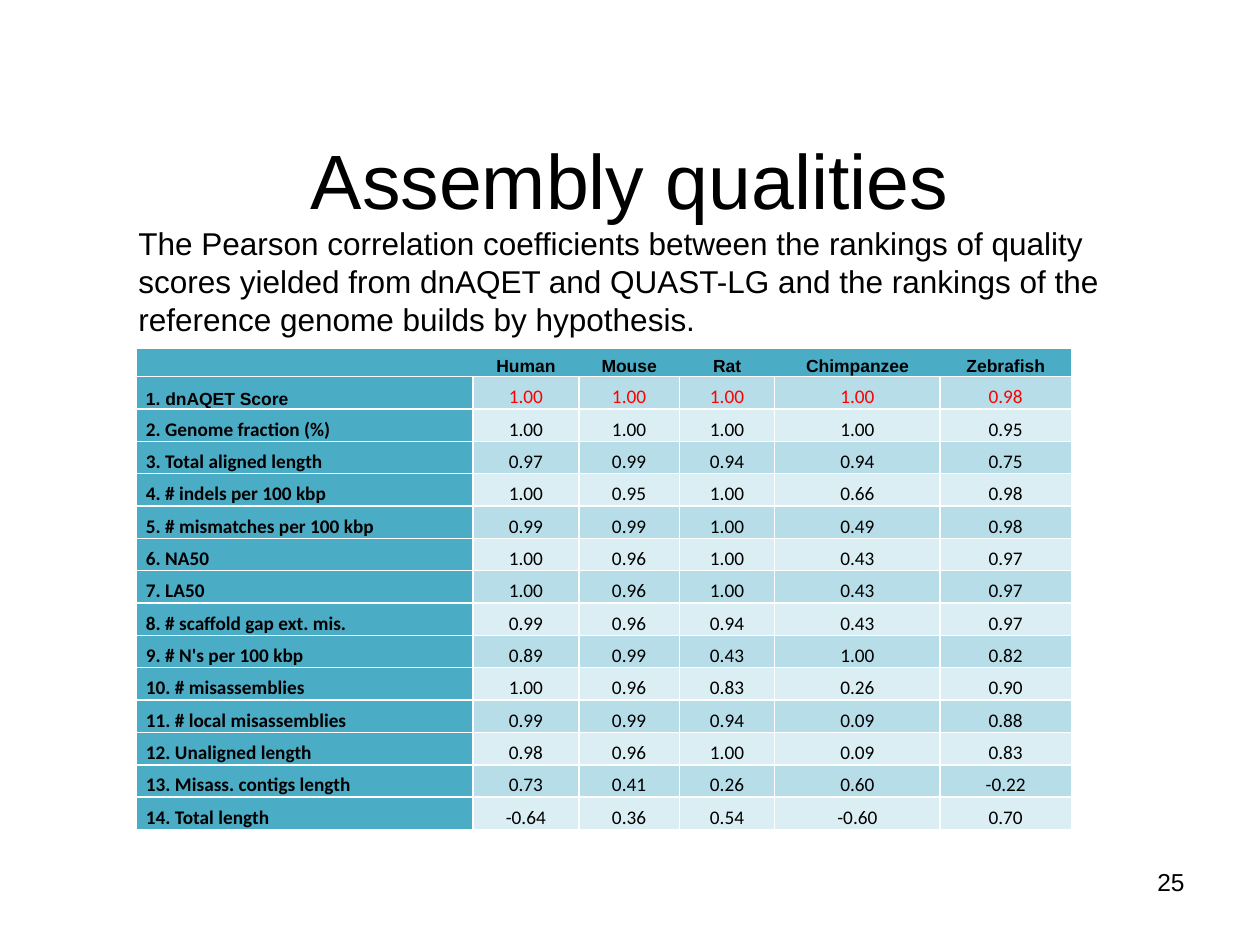
from dataclasses import dataclass

import pptx
import pptx.dml.color
import pptx.enum.text
import pptx.oxml
import pptx.oxml.ns
import pptx.util

Pt = pptx.util.Pt
Align = pptx.enum.text.PP_ALIGN
Anchor = pptx.enum.text.MSO_ANCHOR

COLORS = {"ink": "000000", "mark": "FF0000", "head": "4BACC6",
          "odd": "B6DDE8", "even": "DAEEF3", "rule": "FFFFFF"}


@dataclass
class Style:
    name: str
    size: float
    bold: bool = False
    color: str = "ink"
    align: Align = Align.LEFT


@dataclass
class Label:
    text: str
    box: tuple
    style: Style
    anchor: Anchor = Anchor.TOP


LABELS = [
    Label("Assembly qualities", (48, 66, 624, 72),
          Style("Arial", 44, align=Align.CENTER), Anchor.MIDDLE),
    Label("25", (516, 492, 168, 37.5), Style("Arial", 14, align=Align.RIGHT)),
    Label("The Pearson correlation coefficients between the rankings of quality "
          "scores yielded from dnAQET and QUAST-LG and the rankings of the "
          "reference genome builds by hypothesis.",
          (72, 124.5, 600, 72.7), Style("Arial", 18)),
]

HEADS = ["", "Human", "Mouse", "Rat", "Chimpanzee", "Zebrafish"]
SCORES = [
    ("dnAQET Score", "1.00 1.00 1.00 1.00 0.98"),
    ("Genome fraction (%)", "1.00 1.00 1.00 1.00 0.95"),
    ("Total aligned length", "0.97 0.99 0.94 0.94 0.75"),
    ("# indels per 100 kbp", "1.00 0.95 1.00 0.66 0.98"),
    ("# mismatches per 100 kbp", "0.99 0.99 1.00 0.49 0.98"),
    ("NA50", "1.00 0.96 1.00 0.43 0.97"),
    ("LA50", "1.00 0.96 1.00 0.43 0.97"),
    ("# scaffold gap ext. mis.", "0.99 0.96 0.94 0.43 0.97"),
    ("# N's per 100 kbp", "0.89 0.99 0.43 1.00 0.82"),
    ("# misassemblies", "1.00 0.96 0.83 0.26 0.90"),
    ("# local misassemblies", "0.99 0.99 0.94 0.09 0.88"),
    ("Unaligned length", "0.98 0.96 1.00 0.09 0.83"),
    ("Misass. contigs length", "0.73 0.41 0.26 0.60 -0.22"),
    ("Total length", "-0.64 0.36 0.54 -0.60 0.70"),
]
LEFT, TOP = 78, 198.75
WIDTHS = [192.25, 60.5, 57.5, 54.5, 94.5, 75]
HEAD_H, ROW_H = 16.5, 18.5


def tint(key: str) -> pptx.dml.color.RGBColor:
    return pptx.dml.color.RGBColor.from_string(COLORS[key])


def write(para, text: str, style: Style) -> None:
    para.alignment = style.align
    if text:
        font = para.add_run().font
        para.runs[0].text = text
    else:
        # An empty cell still needs a small font to keep its row low
        end = pptx.oxml.parse_xml(
            f'<a:endParaRPr {pptx.oxml.ns.nsdecls("a")}/>')
        para._p.append(end)
        font = pptx.text.text.Font(end)
    form = {"name": style.name, "size": Pt(style.size), "bold": style.bold}
    for key, value in form.items():
        setattr(font, key, value)
    font.color.rgb = tint(style.color)


def add_label(slide, label: Label) -> None:
    frame = slide.shapes.add_textbox(*map(Pt, label.box)).text_frame
    frame.word_wrap = True
    frame.vertical_anchor = label.anchor
    write(frame.paragraphs[0], label.text, label.style)


def add_rules(cell, row: int, col: int) -> None:
    """White lines on all sides, but none between the header cells."""
    last = len(HEADS) - 1
    shown = {"L": row > 0 or col == 0, "R": row > 0 or col == last,
             "T": True, "B": True}
    props = cell._tc.get_or_add_tcPr()
    for side, show in shown.items():
        paint = (f'<a:solidFill><a:srgbClr val="{COLORS["rule"]}"/></a:solidFill>'
                 if show else "<a:noFill/>")
        props.append(pptx.oxml.parse_xml(
            f'<a:ln{side} {pptx.oxml.ns.nsdecls("a")} w="{Pt(1)}">{paint}</a:ln{side}>'))


def pick(row: int, col: int) -> tuple[Style, str]:
    """Text style and fill key of a cell."""
    align = Align.LEFT if row and col == 0 else Align.CENTER
    if row == 0 or (row == 1 and col == 0):
        return Style("Arial", 10, True, align=align), "head"
    if col == 0:
        return Style("Calibri", 11, True, align=align), "head"
    ink = "mark" if row == 1 else "ink"
    return Style("Calibri", 11, color=ink, align=align), "odd" if row % 2 else "even"


def fill_cell(cell, text: str, row: int, col: int) -> None:
    form = {"margin_left": Pt(5.4), "margin_right": Pt(5.4), "margin_top": 0,
            "margin_bottom": 0, "vertical_anchor": Anchor.BOTTOM}
    for key, value in form.items():
        setattr(cell, key, value)
    style, fill = pick(row, col)
    para = cell.text_frame.paragraphs[0]
    para.line_spacing = 1.15
    write(para, text, style)
    add_rules(cell, row, col)
    cell.fill.solid()
    cell.fill.fore_color.rgb = tint(fill)


def add_scores(slide) -> None:
    rows = [HEADS] + [[f"{num}. {name}", *vals.split()]
                      for num, (name, vals) in enumerate(SCORES, 1)]
    high = HEAD_H + ROW_H * len(SCORES)
    table = slide.shapes.add_table(
        len(rows), len(HEADS), Pt(LEFT), Pt(TOP), Pt(sum(WIDTHS)), Pt(high)).table
    table.first_row = table.horz_banding = False
    for col, wide in enumerate(WIDTHS):
        table.columns[col].width = Pt(wide)
    for row, texts in enumerate(rows):
        table.rows[row].height = Pt(ROW_H if row else HEAD_H)
        for col, text in enumerate(texts):
            fill_cell(table.cell(row, col), text, row, col)


def main() -> None:
    deck = pptx.Presentation()
    deck.slide_width, deck.slide_height = Pt(720), Pt(540)
    slide = deck.slides.add_slide(deck.slide_layouts[6])
    # Title, table, then page number and lead text
    add_label(slide, LABELS[0])
    add_scores(slide)
    for label in LABELS[1:]:
        add_label(slide, label)
    deck.save("out.pptx")


if __name__ == "__main__":
    main()
